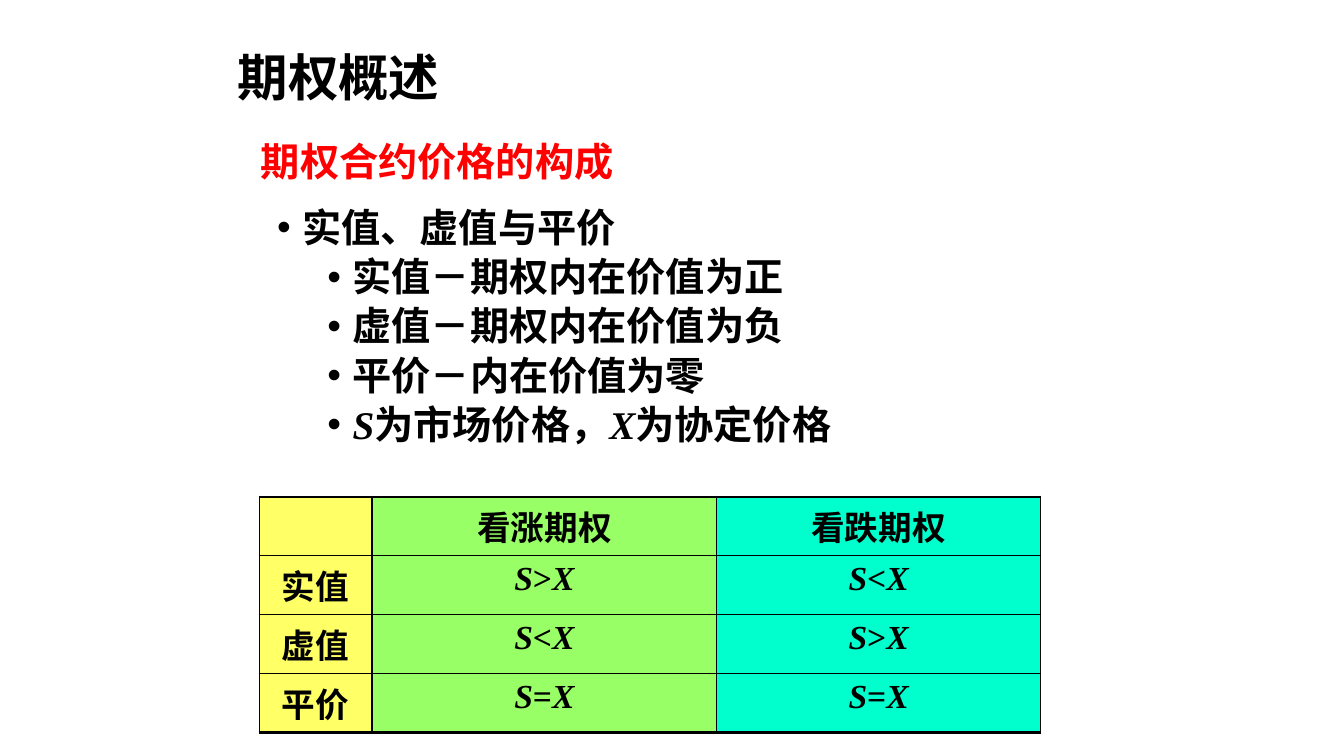
from lxml.etree import SubElement
from pptx import Presentation
from pptx.dml.color import RGBColor
from pptx.enum.text import MSO_ANCHOR, MSO_AUTO_SIZE, PP_ALIGN
from pptx.oxml.ns import qn
from pptx.util import Inches, Pt

COLORS = {"black": "000000", "red": "FF0000", "yellow": "FFFF66",
          "green": "99FF66", "aqua": "00FFCC"}
SANS, SERIF = "Noto Sans CJK SC", "Times New Roman"
POINTS = ["实值－期权内在价值为正", "虚值－期权内在价值为负",
          "平价－内在价值为零", "S为市场价格，X为协定价格"]
ROWS = [["", "看涨期权", "看跌期权"],
        ["实值", "S>X", "S<X"],
        ["虚值", "S<X", "S>X"],
        ["平价", "S=X", "S=X"]]
FILLS = ["yellow", "green", "aqua"]
WIDTHS = [1.12, 3.42, 3.21]


def split(text):
    """Cut the text into runs, with the variables S and X on their own."""
    for name in "SX":
        text = text.replace(name, f"|{name}|")
    return [part for part in text.split("|") if part]


def write(para, text, size=28, font=SANS, color="black", align=None, line=None, before=0):
    para.alignment = align
    para.line_spacing = line
    para.space_before = Pt(before)
    math = "X" in text
    for part in split(text):
        run = para.add_run()
        run.text = part
        face = run.font
        face.name = SERIF if math else font
        face.size, face.bold, face.italic = Pt(size), True, part in "SX"
        face.color.rgb = RGBColor.from_string(COLORS[color])
        SubElement(run._r.get_or_add_rPr(), qn("a:ea"), typeface=SANS)


def add_box(slide, left, top, width, height, fit=MSO_AUTO_SIZE.NONE, anchor=MSO_ANCHOR.TOP):
    box = slide.shapes.add_textbox(Inches(left), Inches(top), Inches(width), Inches(height))
    frame = box.text_frame
    frame.word_wrap, frame.auto_size = True, fit
    frame.vertical_anchor = anchor
    return frame


def set_bullet(para, left):
    props = para._p.get_or_add_pPr()
    props.set("marL", str(Inches(left)))
    props.set("indent", str(Inches(-0.25)))
    SubElement(props, qn("a:buFont"), typeface="Arial")
    SubElement(props, qn("a:buChar"), char="•")


def add_list(slide):
    frame = add_box(slide, 2.65, 2.02, 8, 2.75, fit=MSO_AUTO_SIZE.TEXT_TO_FIT_SHAPE)
    para = frame.paragraphs[0]
    write(para, "实值、虚值与平价", line=0.9, before=10)
    set_bullet(para, 0.25)
    for point in POINTS:
        para = frame.add_paragraph()
        para.level = 1
        write(para, point, line=0.9, before=5)
        set_bullet(para, 0.75)


def set_border(cell, top, bottom):
    props = cell._tc.get_or_add_tcPr()
    sides = {"lnL": 1, "lnR": 1, "lnT": top, "lnB": bottom}
    for index, (side, width) in enumerate(sides.items()):
        line = SubElement(props, qn(f"a:{side}"), w=str(Pt(width)))
        fill = SubElement(line, qn("a:solidFill"))
        SubElement(fill, qn("a:srgbClr"), val=COLORS["black"])
        props.insert(index, line)


def add_grid(slide):
    table = slide.shapes.add_table(len(ROWS), len(WIDTHS), Inches(2.57), Inches(4.93),
                                   Inches(sum(WIDTHS)), Inches(2.17)).table
    for column, width in zip(table.columns, WIDTHS):
        column.width = Inches(width)
    last = len(ROWS) - 1
    for r, texts in enumerate(ROWS):
        for c, text in enumerate(texts):
            cell = table.cell(r, c)
            cell.fill.solid()
            cell.fill.fore_color.rgb = RGBColor.from_string(COLORS[FILLS[c]])
            set_border(cell, 2.25 if r == 0 else 1, 2.25 if r == last else 1)
            write(cell.text_frame.paragraphs[0], text, size=24, font="Arial",
                  align=PP_ALIGN.CENTER)


def main():
    deck = Presentation()
    deck.slide_width, deck.slide_height = Inches(13.33), Inches(7.5)
    slide = deck.slides.add_slide(deck.slide_layouts[6])
    add_list(slide)
    add_grid(slide)
    title = add_box(slide, 2.26, 0.44, 8.17, 0.71, anchor=MSO_ANCHOR.MIDDLE)
    write(title.paragraphs[0], "期权概述", size=36, line=0.9)
    topic = add_box(slide, 2.49, 1.31, 5.59, 0.57, fit=MSO_AUTO_SIZE.SHAPE_TO_FIT_TEXT)
    write(topic.paragraphs[0], "期权合约价格的构成", font="Noto Sans CJK JP", color="red")
    deck.save("out.pptx")


if __name__ == "__main__":
    main()
